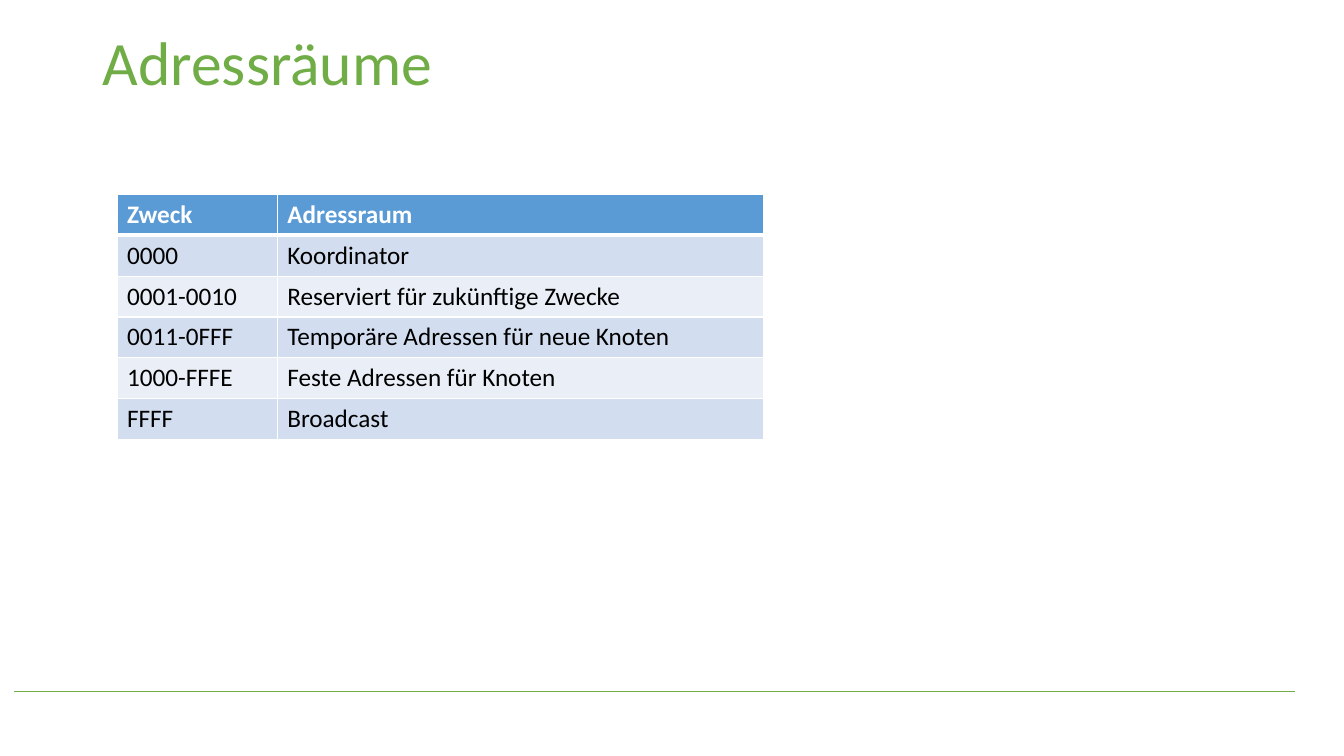
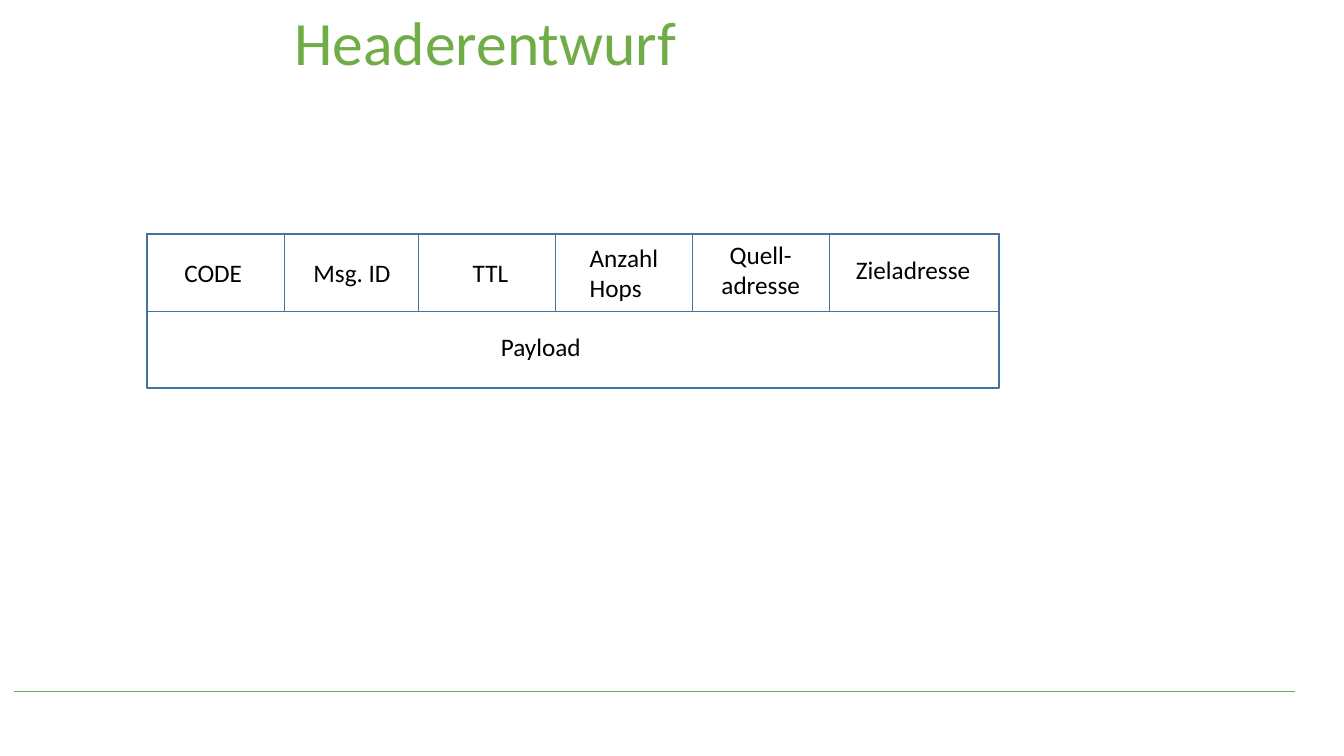
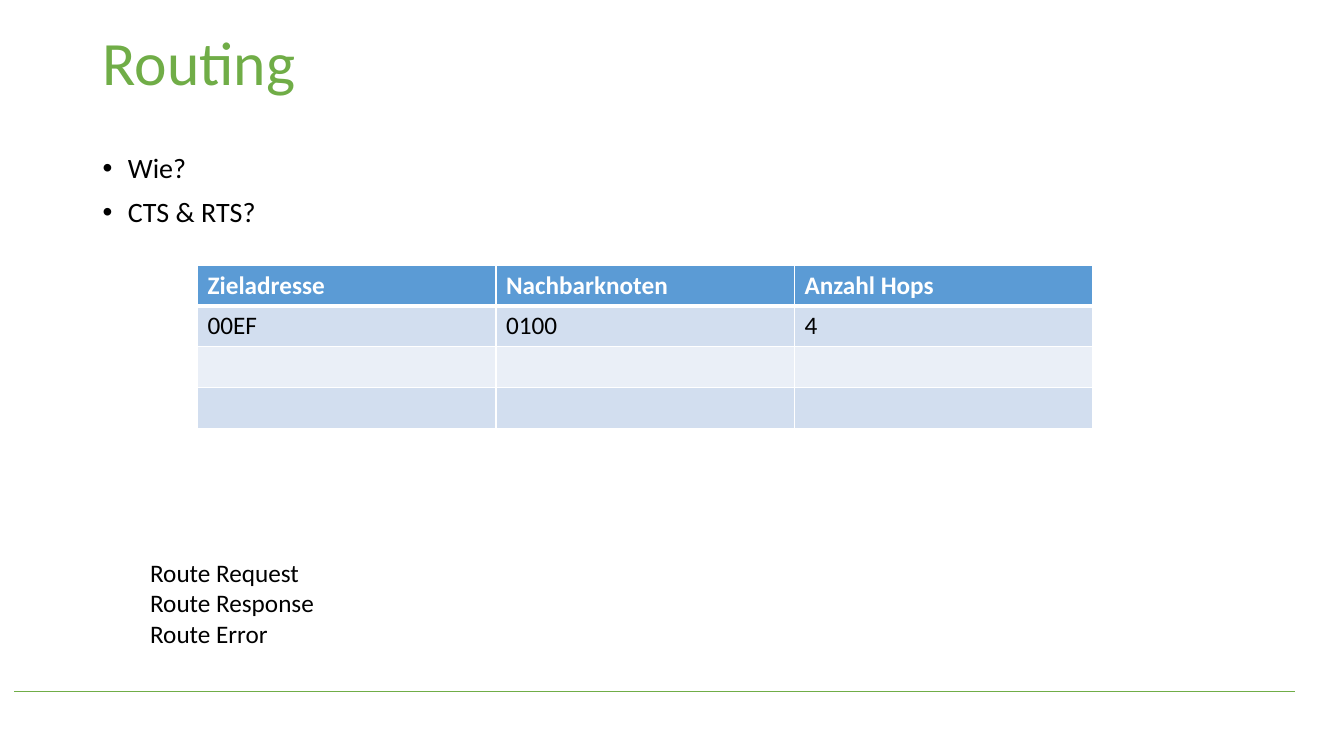
"""Build three slides on addresses, the message header and routing."""
from lxml import etree
from pptx import Presentation
from pptx.dml.color import RGBColor
from pptx.enum.shapes import MSO_CONNECTOR, MSO_SHAPE
from pptx.enum.text import MSO_ANCHOR, MSO_AUTO_SIZE, PP_ALIGN
from pptx.oxml.ns import qn
from pptx.util import Inches, Pt

RECT = MSO_SHAPE.RECTANGLE
STRAIGHT = MSO_CONNECTOR.STRAIGHT
TOP = MSO_ANCHOR.TOP
FIT = MSO_AUTO_SIZE.SHAPE_TO_FIT_TEXT
LEFT, CENTER = PP_ALIGN.LEFT, PP_ALIGN.CENTER
FONT = "Calibri"
GREEN, BLUE, OUTLINE = "70AD47", "5B9BD5", "43739E"
BANDS = ["EAEFF7", "D2DEEF"]
BLACK, WHITE = "000000", "FFFFFF"
ROW_H = 0.405


def rgb(color):
    return RGBColor.from_string(color)


def add_text(s, x, y, w, h, lines, size=18, color=BLACK, align=LEFT, wrap=False):
    tf = s.shapes.add_textbox(Inches(x), Inches(y), Inches(w), Inches(h)).text_frame
    tf.word_wrap = wrap
    tf.vertical_anchor = TOP
    if not wrap:
        tf.auto_size = FIT
    for i, line in enumerate(lines):
        p = tf.add_paragraph() if i else tf.paragraphs[0]
        p.alignment = align
        for j, part in enumerate(line.split("\n")):
            if j:
                p.add_line_break()
            r = p.add_run()
            r.text = part
            r.font.name, r.font.size = FONT, Pt(size)
            r.font.color.rgb = rgb(color)
    return tf


prs = Presentation()
prs.slide_width, prs.slide_height = Inches(13.33), Inches(7.5)

slides = []
for title, x, y in [("Adressräume", 0.92, 0.27), ("Headerentwurf", 2.82, 0.07),
                    ("Routing", 0.92, 0.27)]:
    s = prs.slides.add_slide(prs.slide_layouts[6])
    rule = s.shapes.add_connector(STRAIGHT, Inches(0.14), Inches(6.86),
                                  Inches(12.84), Inches(6.86))
    rule.line.color.rgb = rgb(GREEN)
    rule.line.width = Pt(0.5)
    etree.SubElement(rule._element.spPr, qn("a:effectLst"))
    tf = add_text(s, x, y, 11.5, 1.45, [title], 44, GREEN, wrap=True)
    tf.paragraphs[0].line_spacing = 0.9
    slides.append(s)
addresses, header, routing = slides

tf = add_text(routing, 0.92, 1.48, 11.5, 1.1, ["Wie?", "CTS & RTS?"], 20, wrap=True)
for p in tf.paragraphs:
    p.line_spacing, p.space_before = 0.9, Pt(10)
    pPr = p._p.get_or_add_pPr()
    pPr.set("marL", str(Inches(0.25)))
    pPr.set("indent", str(-Inches(0.25)))
    etree.SubElement(pPr, qn("a:buFont"), typeface="Arial")
    etree.SubElement(pPr, qn("a:buChar"), char="•")

address_rows = [
    ("Zweck", "Adressraum"),
    ("0000", "Koordinator"),
    ("0001-0010", "Reserviert für zukünftige Zwecke"),
    ("0011-0FFF", "Temporäre Adressen für neue Knoten"),
    ("1000-FFFE", "Feste Adressen für Knoten"),
    ("FFFF", "Broadcast"),
]
routing_rows = [
    ("Zieladresse", "Nachbarknoten", "Anzahl Hops"),
    ("00EF", "0100", "4"),
    ("", "", ""),
    ("", "", ""),
]
for s, x, y, widths, rows in [
    (addresses, 1.16, 1.93, [1.59, 4.82], address_rows),
    (routing, 1.96, 2.63, [2.96] * 3, routing_rows),
]:
    table = s.shapes.add_table(len(rows), len(widths), Inches(x), Inches(y),
                               Inches(sum(widths)), Inches(ROW_H * len(rows))).table
    for column, width in zip(table.columns, widths):
        column.width = Inches(width)
    for i, row in enumerate(rows):
        table.rows[i].height = Inches(ROW_H)
        for j, text in enumerate(row):
            cell = table.cell(i, j)
            tcPr = cell._tc.get_or_add_tcPr()
            edges = {"L": 1, "R": 1, "T": 3 if i == 1 else 1, "B": 1 if i else 3}
            for edge, width in edges.items():
                ln = etree.SubElement(tcPr, qn("a:ln" + edge), w=str(Pt(width)))
                fill = etree.SubElement(ln, qn("a:solidFill"))
                etree.SubElement(fill, qn("a:srgbClr"), val=WHITE)
            cell.fill.solid()
            cell.fill.fore_color.rgb = rgb(BANDS[i % 2] if i else BLUE)
            if text:
                r = cell.text_frame.paragraphs[0].add_run()
                r.text = text
                r.font.name, r.font.size = FONT, Pt(18)
                r.font.bold = i == 0
                r.font.color.rgb = rgb(BLACK if i else WHITE)

boxes = [(1.46, 8.45, 1.53), (1.46, 8.45, 0.77)]
field_x = 1.46
for width in [1.36, 1.33, 1.36, 1.36, 1.36, 1.68]:
    boxes.append((field_x, width, 0.77))
    field_x += width
for x, w, h in boxes:
    box = header.shapes.add_shape(RECT, Inches(x), Inches(2.32), Inches(w), Inches(h))
    box.shadow.inherit = False
    box.fill.background()
    box.line.color.rgb = rgb(OUTLINE)
    box.line.width = Pt(1)

for x, y, w, h, lines, align in [
    (1.73, 2.5, 0.78, 0.4, ["CODE"], LEFT),
    (3.01, 2.5, 0.98, 0.4, ["Msg. ID"], LEFT),
    (4.59, 2.5, 0.56, 0.4, ["TTL"], LEFT),
    (5.75, 2.35, 0.89, 0.71, ["Anzahl", "Hops"], LEFT),
    (7.05, 2.32, 0.99, 0.71, ["Quell-\nadresse"], CENTER),
    (8.39, 2.47, 1.35, 0.4, ["Zieladresse"], LEFT),
    (4.87, 3.24, 1, 0.4, ["Payload"], LEFT),
]:
    add_text(header, x, y, w, h, lines, align=align)

add_text(routing, 1.39, 5.48, 1.85, 1.01,
         ["Route Request", "Route Response", "Route Error"])

prs.save("out.pptx")
